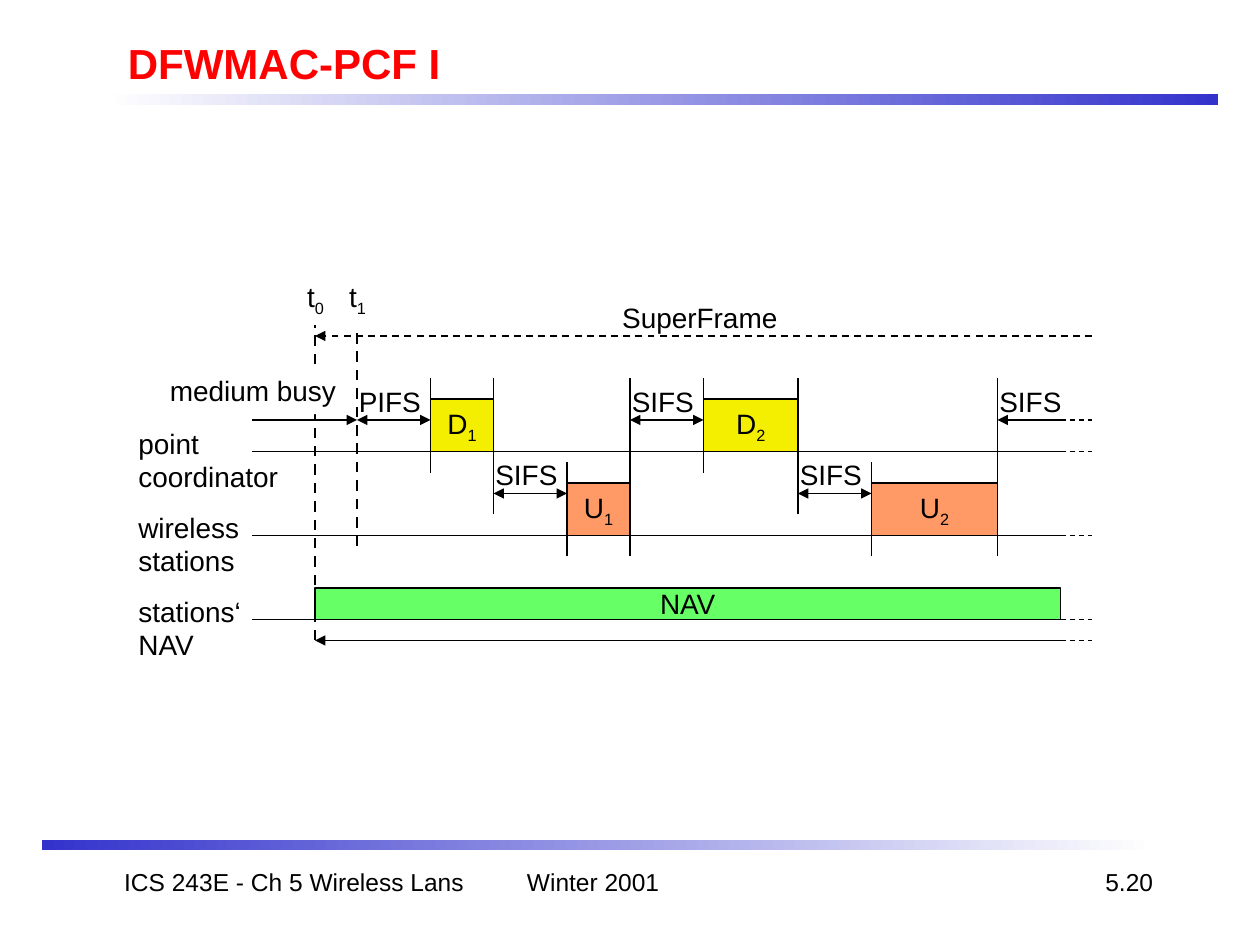
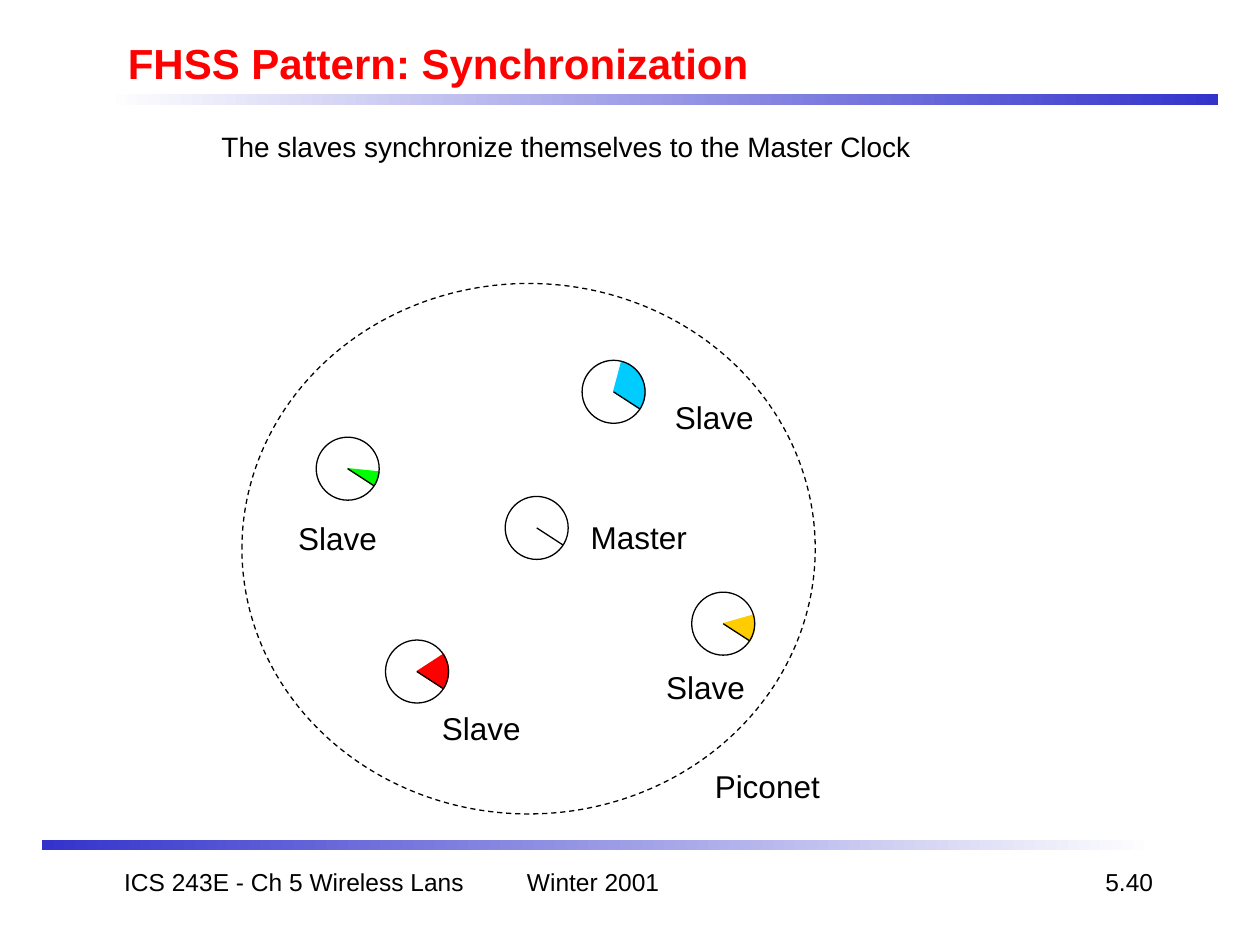
"""Build two wireless LAN slides: PCF timing and piconet synchronization."""
import math

import pptx
import pptx.dml.color
import pptx.enum.dml
import pptx.enum.shapes
import pptx.enum.text
import pptx.oxml
import pptx.oxml.ns
import pptx.util
from pptx.dml.color import RGBColor
from pptx.util import Inches

BLACK = RGBColor(0x00, 0x00, 0x00)
WHITE = RGBColor(0xFF, 0xFF, 0xFF)
TITLE_RED = RGBColor(0xFF, 0x00, 0x00)
BAND_BLUE = RGBColor(0x33, 0x33, 0xCC)
DOWNLINK_YELLOW = RGBColor(0xF4, 0xEE, 0x00)
UPLINK_ORANGE = RGBColor(0xFF, 0x99, 0x66)
NAV_GREEN = RGBColor(0x66, 0xFF, 0x66)
RED = RGBColor(0xFF, 0x00, 0x00)
GREEN = RGBColor(0x00, 0xFF, 0x00)
CYAN = RGBColor(0x00, 0xCC, 0xFF)
AMBER = RGBColor(0xFF, 0xCC, 0x00)

FONT = "Arial"
SHAPE = pptx.enum.shapes.MSO_SHAPE
ALIGN = pptx.enum.text.PP_ALIGN
ANCHOR = pptx.enum.text.MSO_ANCHOR
DASH = pptx.enum.dml.MSO_LINE.DASH

GRID = 1 / 12
T0, T1 = 30 * GRID, 34 * GRID
AXIS_LEFT, AXIS_RIGHT, DASH_RIGHT = 24 * GRID, 101 * GRID, 104 * GRID
POINT_AXIS, STATION_AXIS, NAV_AXIS, NAV_SPAN = 43 * GRID, 51 * GRID, 59 * GRID, 61 * GRID
GAP_ROW, REPLY_ROW, SUPERFRAME_ROW = 40 * GRID, 47 * GRID, 32 * GRID
FRAME_HEIGHT = 5 * GRID
RADIUS = 0.25
HAND_ANGLE = 33


def write(shape, text, size=16, color=BLACK, bold=False,
          align=ALIGN.LEFT, anchor=ANCHOR.TOP, wrap=False):
    """Fill a shape with text; an underscore marks a subscript ending."""
    frame = shape.text_frame
    frame.word_wrap = wrap
    frame.vertical_anchor = anchor
    frame.text = text.replace("_", "")
    for paragraph, line in zip(frame.paragraphs, text.split("\n")):
        paragraph.alignment = align
        base, mark, subscript = line.partition("_")
        if mark:
            paragraph.runs[0].text = base
            span = paragraph.add_run()
            span.text = subscript
            span.font._element.set("baseline", "-25000")
        for span in paragraph.runs:
            span.font.name = FONT
            span.font.size = pptx.util.Pt(size)
            span.font.bold = bold
            span.font.color.rgb = color


def add_text(page, text, left, top, width, height=0.37, **style):
    """Add a text box."""
    box = page.shapes.add_textbox(Inches(left), Inches(top), Inches(width), Inches(height))
    write(box, text, **style)


def add_shape(page, kind, left, top, width, height, fill=None, outlined=True):
    """Add a flat preset shape with an optional fill and black outline."""
    shape = page.shapes.add_shape(
        kind, Inches(left), Inches(top), Inches(width), Inches(height))
    shape.shadow.inherit = False
    if fill is None:
        shape.fill.background()
    else:
        shape.fill.solid()
        shape.fill.fore_color.rgb = fill
    if outlined:
        shape.line.color.rgb = BLACK
        shape.line.width = pptx.util.Pt(0.75)
    else:
        shape.line.fill.background()
    return shape


def add_line(page, start, end, width=0.75, dashed=False, arrows=()):
    """Add a black line with arrowheads at the named ends."""
    line = page.shapes.add_connector(
        pptx.enum.shapes.MSO_CONNECTOR.STRAIGHT, *(Inches(value) for value in start + end))
    line.line.color.rgb = BLACK
    line.line.width = pptx.util.Pt(width)
    if dashed:
        line.line.dash_style = DASH
    outline = line.line._get_or_add_ln()
    for arrow in arrows:
        head = pptx.oxml.parse_xml(
            f'<a:{arrow} {pptx.oxml.ns.nsdecls("a")} type="triangle"/>')
        outline.append(head)
    line._element.spPr.append(
        pptx.oxml.parse_xml(f'<a:effectLst {pptx.oxml.ns.nsdecls("a")}/>'))


def add_band(page, left, top, colors):
    """Add a horizontal gradient band."""
    band = add_shape(page, SHAPE.RECTANGLE, left, top, 106 * GRID, GRID, outlined=False)
    band.fill.gradient()
    band.fill.gradient_angle = 0
    for stop, color in zip(band.fill.gradient_stops, colors):
        stop.color.rgb = color


def add_page(deck, title, number):
    """Add a slide with the shared bands, title and footer."""
    page = deck.slides.add_slide(deck.slide_layouts[6])
    add_band(page, 10 * GRID, 9 * GRID, (WHITE, BAND_BLUE))
    add_band(page, 4 * GRID, 80 * GRID, (BAND_BLUE, WHITE))
    for text, left, width, align in (
            ("Winter 2001", 49 * GRID, 2.08, ALIGN.LEFT),
            ("ICS 243E - Ch 5 Wireless Lans", 0.75, 3.17, ALIGN.CENTER),
            (number, 7.17, 2.08, ALIGN.RIGHT)):
        add_text(page, text, left, 82 * GRID, width, 0.5, size=14, align=align, wrap=True)
    add_text(page, title, 11 * GRID, 0.25, 8.5, 0.5, size=24, color=TITLE_RED,
             bold=True, anchor=ANCHOR.MIDDLE, wrap=True)
    return page


def add_frame(page, text, left, width, axis, fill, height=FRAME_HEIGHT):
    """Add a labelled transmission block standing on a time axis."""
    block = add_shape(page, SHAPE.RECTANGLE, left, axis - height, width, height, fill)
    write(block, text, align=ALIGN.CENTER, anchor=ANCHOR.MIDDLE)


def add_gap(page, text, left, right, row, arrows=("headEnd", "tailEnd")):
    """Add an interframe space: an arrow with its label above."""
    add_line(page, (left, row), (right, row), arrows=arrows)
    add_text(page, text, left - GRID, row - 4 * GRID, 0.69)


def add_exchange(page, index, *columns):
    """Add a poll, its reply, their limits and the gap, at four grid columns."""
    poll, poll_end, reply, reply_end = (column * GRID for column in columns)
    add_frame(page, f"D_{index}", poll, poll_end - poll, POINT_AXIS, DOWNLINK_YELLOW)
    add_frame(page, f"U_{index}", reply, reply_end - reply, STATION_AXIS, UPLINK_ORANGE)
    for x, top, bottom in ((poll, 36, 45), (poll_end, 36, 49),
                           (reply, 44, 53), (reply_end, 36, 53)):
        add_line(page, (x, bottom * GRID), (x, top * GRID))
    add_gap(page, "SIFS", poll_end, reply, REPLY_ROW)


def add_timing_slide(deck):
    """Show the point coordination superframe."""
    page = add_page(deck, "DFWMAC-PCF I", "5.20")
    for text, axis, width in (("point\ncoordinator", POINT_AXIS, 1.31),
                              ("wireless\nstations", STATION_AXIS, 1),
                              ("stations‘\nNAV", NAV_AXIS, 1.01)):
        add_line(page, (AXIS_LEFT, axis), (AXIS_RIGHT, axis))
        add_text(page, text, 1, axis - 0.25, width, 0.64)
    add_exchange(page, 1, 41, 47, 54, 60)
    add_exchange(page, 2, 67, 76, 83, 95)
    add_frame(page, "NAV", T0, AXIS_RIGHT - T0, NAV_AXIS, NAV_GREEN, 0.25)

    add_line(page, (AXIS_LEFT, GAP_ROW), (T1, GAP_ROW), arrows=("tailEnd",))
    add_gap(page, "PIFS", T1, 41 * GRID, GAP_ROW)
    add_gap(page, "SIFS", 60 * GRID, 67 * GRID, GAP_ROW)
    add_gap(page, "SIFS", 95 * GRID, AXIS_RIGHT, GAP_ROW, ("headEnd",))
    for y in (GAP_ROW, POINT_AXIS, STATION_AXIS, NAV_AXIS, NAV_SPAN):
        add_line(page, (AXIS_RIGHT, y), (DASH_RIGHT, y), dashed=True)

    add_line(page, (T0, NAV_SPAN), (T0, 31 * GRID), 1.5, dashed=True)
    add_line(page, (AXIS_RIGHT, NAV_SPAN), (T0, NAV_SPAN), arrows=("tailEnd",))
    add_text(page, "SuperFrame", 4.84, SUPERFRAME_ROW - 4 * GRID, 1.43)
    add_line(page, (DASH_RIGHT, SUPERFRAME_ROW), (T0, SUPERFRAME_ROW), 1,
             dashed=True, arrows=("tailEnd",))
    busy = add_shape(page, SHAPE.RECTANGLE, 1.25, 35 * GRID, 19 * GRID, 0.37,
                     WHITE, outlined=False)
    write(busy, "medium busy", wrap=True)
    add_line(page, (T1, 52 * GRID), (T1, 31 * GRID), 1.5, dashed=True)
    for text, x in (("t_0", T0), ("t_1", T1)):
        add_text(page, text, x - 0.16, 26 * GRID, 0.33, 0.41)


def rim_point(x, y, degrees):
    """Return the point on a clock's rim, measured clockwise from the right."""
    angle = math.radians(degrees)
    return x + RADIUS * math.cos(angle), y + RADIUS * math.sin(angle)


def add_offset(page, x, y, start, color):
    """Add the coloured sector from a start angle to the clock hand."""
    steps = 12
    rim = [rim_point(x, y, start + (HAND_ANGLE - start) * step / steps)
           for step in range(steps + 1)]
    builder = page.shapes.build_freeform(Inches(x), Inches(y))
    builder.add_line_segments([(Inches(px), Inches(py)) for px, py in rim], close=True)
    sector = builder.convert_to_shape()
    sector.shadow.inherit = False
    sector.fill.solid()
    sector.fill.fore_color.rgb = color
    sector.line.color.rgb = color
    sector.line.width = pptx.util.Pt(0.75)


def add_clock(page, x, y, start=None, color=None):
    """Add a clock with a hand and, for slaves, an offset sector."""
    if color is not None:
        add_offset(page, x, y, start, color)
    add_shape(page, SHAPE.OVAL, x - RADIUS, y - RADIUS, 2 * RADIUS, 2 * RADIUS)
    add_line(page, (x, y), rim_point(x, y, HAND_ANGLE))


def add_piconet_slide(deck):
    """Show the slaves' clock offsets from the master."""
    page = add_page(deck, "FHSS Pattern: Synchronization", "5.40")
    add_clock(page, 4.26, 4.19)
    for x, y, start, color in ((3.31, 5.33, -33, RED), (2.76, 3.72, 6, GREEN),
                               (4.87, 3.11, -75, CYAN), (5.74, 4.95, -16, AMBER)):
        add_clock(page, x, y, start, color)
    piconet = add_shape(page, SHAPE.OVAL, 1.92, 2.25, 4.55, 4.21)
    piconet.line.dash_style = DASH
    label_width = 1.2
    for text, center, top in (
            ("Master", 5.07, 4.06), ("Slave", 5.67, 3.11), ("Slave", 2.68, 4.07),
            ("Slave", 3.82, 5.58), ("Slave", 5.6, 5.25), ("Piconet", 6.09, 6.04)):
        add_text(page, text, center - label_width / 2, top, label_width, 0.4, size=18,
                 align=ALIGN.CENTER, anchor=ANCHOR.MIDDLE)
    add_text(page, "The slaves synchronize themselves to the Master Clock",
             1.66, 0.98, 5.67)


def main():
    """Build and save the deck."""
    deck = pptx.Presentation()
    deck.slide_width, deck.slide_height = Inches(10), Inches(7.5)
    add_timing_slide(deck)
    add_piconet_slide(deck)
    deck.save("out.pptx")


if __name__ == "__main__":
    main()
